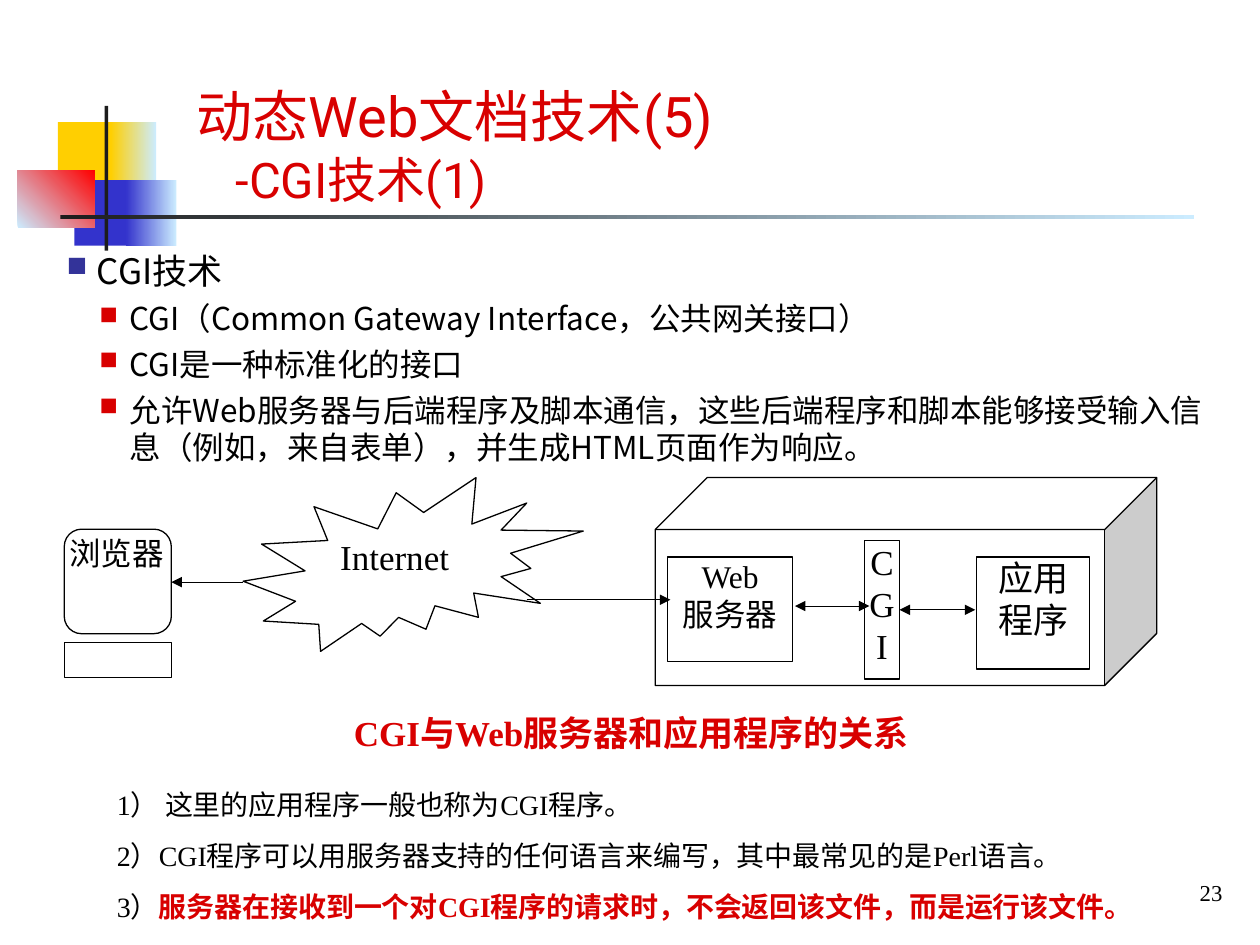
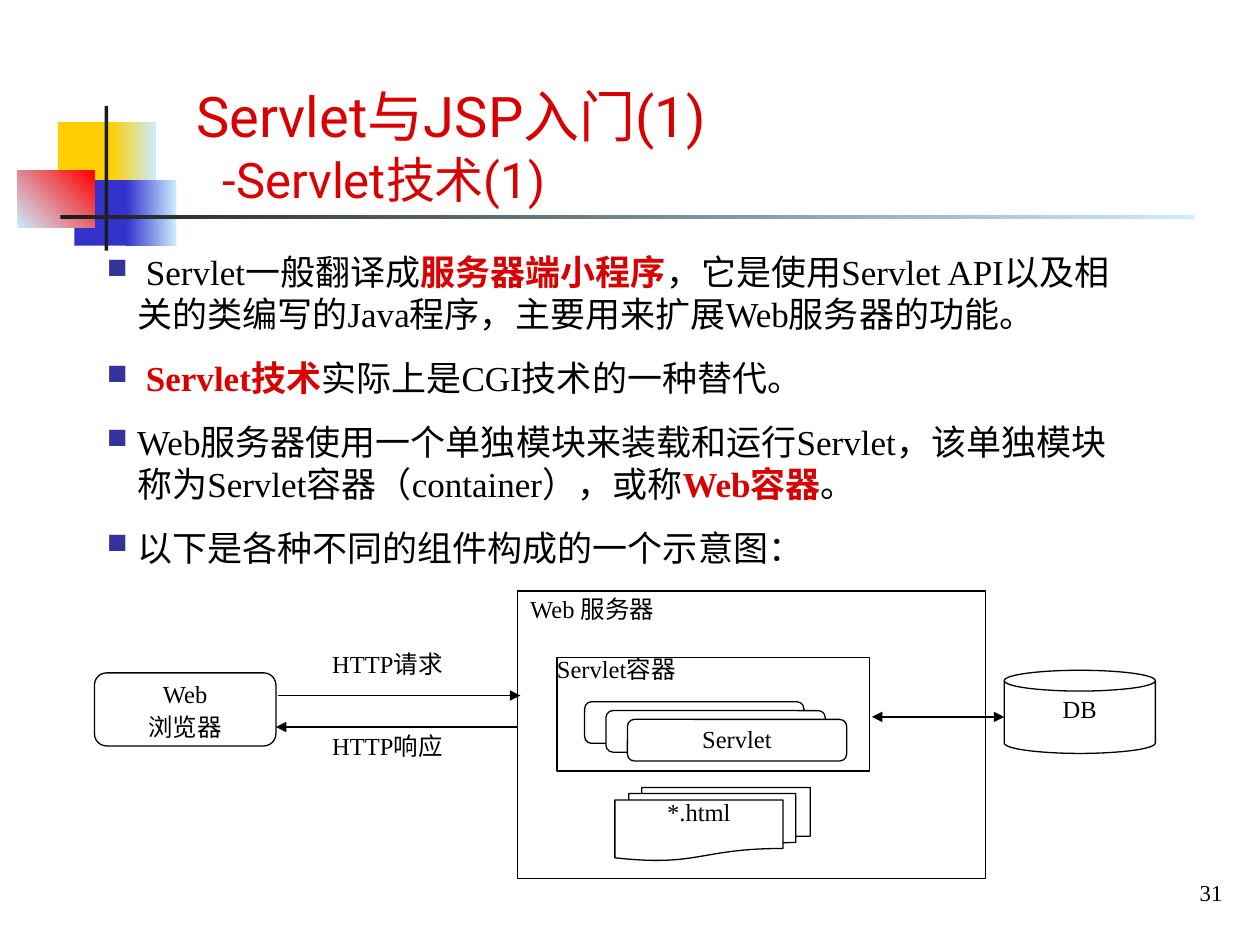
from dataclasses import dataclass

from lxml.etree import SubElement
from pptx import Presentation
from pptx.dml.color import RGBColor
from pptx.enum.shapes import MSO_CONNECTOR, MSO_SHAPE
from pptx.enum.text import MSO_ANCHOR, MSO_AUTO_SIZE, PP_ALIGN
from pptx.oxml.ns import qn
from pptx.util import Pt

PX = 9144
COLORS = {
    "ink": "000000",
    "paper": "FFFFFF",
    "accent": "D80000",
    "bullet": "333399",
    "yellow": "FFCF01",
    "blue": "3333CC",
    "red": "FF0000",
    "sky": "CCECFF",
    "dark": "1C1C1C",
}
SERIF = "Times New Roman"
SANS = "Noto Sans CJK SC"
TITLE_FONT = "Roboto"
LEFT, CENTER, RIGHT = PP_ALIGN.LEFT, PP_ALIGN.CENTER, PP_ALIGN.RIGHT
PADDED = (10, 5)
TIGHT = (0, 0)


@dataclass
class Box:
    left: int
    top: int
    width: int
    height: int

    def inner(self, left, top, width, height):
        return Box(self.left + left, self.top + top, width, height)

    def emu(self):
        return [side * PX for side in (self.left, self.top, self.width, self.height)]


def color(name):
    return RGBColor.from_string(COLORS[name])


def set_frame(frame, inset=PADDED, anchor=MSO_ANCHOR.TOP, wrap=True):
    frame.auto_size = MSO_AUTO_SIZE.NONE
    frame.word_wrap = wrap
    frame.vertical_anchor = anchor
    frame.margin_left = frame.margin_right = inset[0] * PX
    frame.margin_top = frame.margin_bottom = inset[1] * PX


def add_para(frame, text, size, font=SERIF, ink="ink", align=LEFT, before=0, spacing=1.0, bold=False):
    """Stretches of text between bars are emphasised."""
    first = frame.paragraphs[0]
    para = first if not first.runs else frame.add_paragraph()
    para.alignment = align
    para.space_before = Pt(before)
    para.line_spacing = spacing
    para.font.name = font
    para.font.size = Pt(size)
    para.font.bold = bold
    para.font.color.rgb = color(ink)
    for index, part in enumerate(text.split("|")):
        if part:
            span = para.add_run()
            span.text = part
            if index % 2:
                span.font.bold = True
                span.font.color.rgb = color("accent")
    return para


def indent(para, margin, hanging=0):
    properties = para._p.get_or_add_pPr()
    properties.set("marL", str(margin * PX))
    properties.set("indent", str(-hanging * PX))
    return properties


def add_bullet(para, ink, margin):
    properties = indent(para, margin, 24)
    defaults = properties.find(qn("a:defRPr"))
    tint = SubElement(properties, qn("a:buClr"))
    SubElement(tint, qn("a:srgbClr"), val=COLORS[ink])
    SubElement(properties, qn("a:buSzPct"), val="80000")
    SubElement(properties, qn("a:buChar"), char="■")
    properties.append(defaults)


def add_text(page, box, lines, size, **style):
    wrap = style.pop("wrap", True)
    anchor = style.pop("anchor", MSO_ANCHOR.TOP)
    frame = page.shapes.add_textbox(*box.emu()).text_frame
    set_frame(frame, anchor=anchor, wrap=wrap)
    return [add_para(frame, line, size, **style) for line in lines]


def add_plain(page, box, kind=MSO_SHAPE.RECTANGLE, fill="paper", line=None):
    shape = page.shapes.add_shape(kind, *box.emu())
    shape.shadow.inherit = False
    shape.fill.solid()
    shape.fill.fore_color.rgb = color(fill)
    if line:
        shape.line.color.rgb = color(line)
        shape.line.width = Pt(0.75)
    else:
        shape.line.fill.background()
    return shape


def add_gradient(page, box, start, end, angle=0):
    shape = add_plain(page, box)
    shape.fill.gradient()
    shape.fill.gradient_angle = angle
    for stop, name, position in zip(shape.fill.gradient_stops, (start, end), (0, 1)):
        stop.color.rgb = color(name)
        stop.position = position


def add_node(page, box, kind=MSO_SHAPE.RECTANGLE, lines=(), size=14, inset=TIGHT, line="ink", **style):
    shape = add_plain(page, box, kind, line=line)
    set_frame(shape.text_frame, inset)
    for text in lines:
        add_para(shape.text_frame, text, size, **style)


def add_arrow(page, box, start, end, width, both=False):
    ends = [(box.left + x) * PX if axis == 0 else (box.top + x) * PX
            for point in (start, end) for axis, x in enumerate(point)]
    arrow = page.shapes.add_connector(MSO_CONNECTOR.STRAIGHT, *ends)
    arrow.line.color.rgb = color("ink")
    arrow.line.width = Pt(width)
    outline = arrow.line._get_or_add_ln()
    if both:
        SubElement(outline, qn("a:headEnd"), type="triangle")
    SubElement(outline, qn("a:tailEnd"), type="triangle")
    SubElement(arrow._element.spPr, qn("a:effectLst"))


def draw_emblem(page, box):
    add_plain(page, box.inner(32, 13, 48, 52), fill="yellow")
    add_gradient(page, box.inner(74, 13, 36, 52), "yellow", "sky")
    add_plain(page, box.inner(45, 59, 46, 52), fill="blue")
    add_gradient(page, box.inner(86, 59, 40, 52), "blue", "sky")
    add_gradient(page, box.inner(0, 51, 61, 46), "sky", "red", 45)
    add_plain(page, box.inner(69, 0, 3, 115), fill="dark")
    add_gradient(page, box.inner(34, 87, 900, 3), "dark", "sky")


def add_page(deck, title, subtitle, subtitle_indent, number):
    page = deck.slides.add_slide(deck.slide_layouts[5])
    draw_emblem(page, Box(14, 84, 934, 115))
    heading = page.shapes.title
    heading.left, heading.top, heading.width, heading.height = Box(146, 52, 732, 118).emu()
    set_frame(heading.text_frame, anchor=MSO_ANCHOR.BOTTOM)
    add_para(heading.text_frame, title, 32, TITLE_FONT, "accent")
    indent(add_para(heading.text_frame, subtitle, 28, TITLE_FONT, "accent"), subtitle_indent)
    add_text(page, Box(789, 690, 191, 37), [number], 13, align=RIGHT, anchor=MSO_ANCHOR.MIDDLE)
    return page


def draw_gateway(page, box):
    style = {"size": 20, "align": CENTER}
    add_node(page, box.inner(0, 41, 85, 83), MSO_SHAPE.ROUNDED_RECTANGLE, ["浏览器"], 18)
    add_node(page, box.inner(0, 131, 85, 28))
    add_node(page, box.inner(142, 0, 270, 138), MSO_SHAPE.EXPLOSION2, ["Internet"], 20, PADDED)
    add_node(page, box.inner(469, 0, 398, 165), MSO_SHAPE.CUBE)
    add_node(page, box.inner(479, 63, 99, 83), lines=["Web", "服务器"], size=18, align=CENTER)
    add_node(page, box.inner(635, 50, 28, 110), lines="CGI", **style)
    add_node(page, box.inner(724, 63, 90, 89), lines=["应用", "程序"], **style)
    add_arrow(page, box, (580, 102), (639, 102), 0.5, both=True)
    add_arrow(page, box, (663, 105), (723, 105), 0.5, both=True)
    add_arrow(page, box, (367, 97), (481, 97), 0.5)
    add_arrow(page, box, (142, 83), (85, 83), 0.5)


def draw_container(page, box):
    left = {"before": 3.5, "spacing": 0.9}
    centered = {**left, "align": CENTER}
    process = MSO_SHAPE.FLOWCHART_ALTERNATE_PROCESS
    add_node(page, box.inner(336, 0, 371, 228), lines=["Web 服务器"], inset=PADDED, **left)
    add_node(page, box.inner(367, 53, 248, 90), lines=["Servlet容器"], **left)
    add_node(page, box.inner(413, 156, 155, 58), MSO_SHAPE.FLOWCHART_MULTIDOCUMENT, ["*.html"], **centered)
    for step, lines in enumerate(([], [], ["Servlet"])):
        card = box.inner(389 + 17 * step, 88 + 7 * step, 174, 33)
        add_node(page, card, process, lines, inset=PADDED, **centered)
    add_node(page, box.inner(722, 63, 120, 66), MSO_SHAPE.CAN, ["DB"], inset=PADDED, **centered)
    add_arrow(page, box, (146, 83), (338, 83), 0.75)
    add_arrow(page, box, (617, 100), (722, 100), 0.75, both=True)
    add_arrow(page, box, (336, 108), (144, 108), 0.75)
    for top, label in ((49, "HTTP请求"), (114, "HTTP响应")):
        add_node(page, box.inner(148, top, 169, 29), lines=[label], line=None, **centered)
    add_node(page, box.inner(0, 65, 144, 58), process, ["Web", "浏览器"], inset=PADDED, **centered)


def build_cgi(deck):
    page = add_page(deck, "动态Web文档技术(5)", "-CGI技术(1)", 31, "23")
    frame = page.shapes.add_textbox(*Box(43, 193, 941, 182).emu()).text_frame
    set_frame(frame)
    add_bullet(add_para(frame, "CGI技术", 20, SANS, before=4.5), "bullet", 24)
    for point in (
        "CGI（Common Gateway Interface，公共网关接口）",
        "CGI是一种标准化的接口",
        "允许Web服务器与后端程序及脚本通信，这些后端程序和脚本能够接受输入信息"
        "（例如，来自表单），并生成HTML页面作为响应。",
    ):
        add_bullet(add_para(frame, point, 18, SANS, before=4.5), "accent", 50)
    draw_gateway(page, Box(51, 379, 867, 165))
    add_text(page, Box(271, 560, 488, 44), ["CGI与Web服务器和应用程序的关系"], 20,
             ink="accent", bold=True, wrap=False)
    add_text(page, Box(83, 620, 866, 118), [
        "1） 这里的应用程序一般也称为CGI程序。",
        "2）CGI程序可以用服务器支持的任何语言来编写，其中最常见的是Perl语言。",
        "3）|服务器在接收到一个对CGI程序的请求时，不会返回该文件，而是运行该文件。|",
    ], 16, before=10)


def build_servlet(deck):
    page = add_page(deck, "Servlet与JSP入门(1)", "-Servlet技术(1)", 21, "31")
    points = add_text(page, Box(75, 194, 835, 262), [
        " Servlet一般翻译成|服务器端小程序|，它是使用Servlet API以及相关的类编写的Java程序，"
        "主要用来扩展Web服务器的功能。",
        " |Servlet技术|实际上是CGI技术的一种替代。",
        "Web服务器使用一个单独模块来装载和运行Servlet，该单独模块称为Servlet容器（container），"
        "或称|Web容器|。",
        "以下是各种不同的组件构成的一个示意图：",
    ], 20, before=12.5)
    for point in points:
        add_bullet(point, "bullet", 24)
    draw_container(page, Box(75, 469, 842, 228))


def main():
    deck = Presentation()
    deck.slide_width, deck.slide_height = 1000 * PX, 750 * PX
    build_cgi(deck)
    build_servlet(deck)
    deck.save("out.pptx")


if __name__ == "__main__":
    main()
